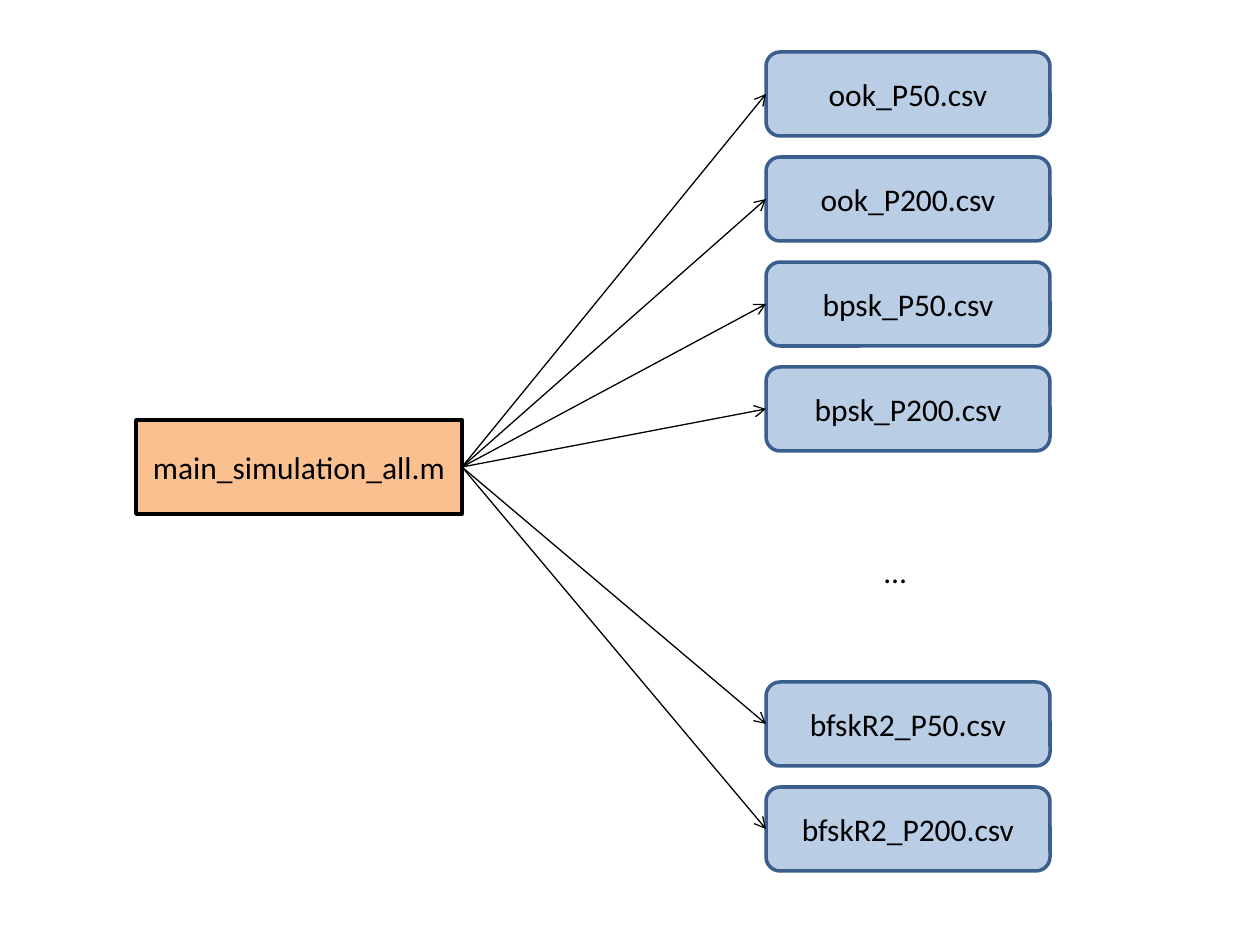
from dataclasses import dataclass

from lxml.etree import SubElement
from pptx import Presentation
from pptx.dml.color import RGBColor
from pptx.enum.shapes import MSO_CONNECTOR as Connector, MSO_SHAPE as Preset
from pptx.enum.text import MSO_ANCHOR as Anchor, MSO_AUTO_SIZE as AutoSize, PP_ALIGN as Align
from pptx.oxml.ns import qn
from pptx.util import Emu, Pt

EMU_PER_PIXEL = 914400 / 126
BLACK = "000000"
RIGHT_SITE, LEFT_SITE = 3, 1


@dataclass(frozen=True)
class Box:
    text: str
    left: int
    top: int
    width: int
    height: int
    preset: Preset
    fill: str
    line: str


@dataclass(frozen=True)
class OutputFile:
    name: str
    row: int


def px(pixels: int) -> Emu:
    return Emu(round(pixels * EMU_PER_PIXEL))


def color(value: str) -> RGBColor:
    return RGBColor.from_string(value)


def add_text(text_frame, text: str, align: Align) -> None:
    paragraph = text_frame.paragraphs[0]
    paragraph.alignment = align
    run = paragraph.add_run()
    run.text = text
    run.font.name = "Calibri"
    run.font.size = Pt(18)
    run.font.color.rgb = color(BLACK)


def add_box(slide, box: Box):
    shape = slide.shapes.add_shape(
        box.preset, px(box.left), px(box.top), px(box.width), px(box.height))
    shape.shadow.inherit = False
    shape.fill.solid()
    shape.fill.fore_color.rgb = color(box.fill)
    shape.line.color.rgb = color(box.line)
    shape.line.width = Pt(2)
    shape.text_frame.word_wrap = True
    shape.text_frame.vertical_anchor = Anchor.MIDDLE
    add_text(shape.text_frame, box.text, Align.CENTER)
    return shape


def add_arrow(slide, source, target) -> None:
    connector = slide.shapes.add_connector(Connector.STRAIGHT, 0, 0, 0, 0)
    connector.begin_connect(source, RIGHT_SITE)
    connector.end_connect(target, LEFT_SITE)
    connector.line.color.rgb = color(BLACK)
    connector.line.width = Pt(0.75)
    SubElement(connector.line._get_or_add_ln(), qn("a:tailEnd"), type="arrow")
    SubElement(connector._element.spPr, qn("a:effectLst"))


OUTPUT_TOP, OUTPUT_PITCH = 52, 105
OUTPUT_FILES = [
    OutputFile("ook_P50.csv", 0),
    OutputFile("ook_P200.csv", 1),
    OutputFile("bpsk_P50.csv", 2),
    OutputFile("bpsk_P200.csv", 3),
    OutputFile("bfskR2_P50.csv", 6),
    OutputFile("bfskR2_P200.csv", 7),
]

presentation = Presentation()
presentation.slide_width, presentation.slide_height = px(1260), px(945)
slide = presentation.slides.add_slide(presentation.slide_layouts[6])

# Simulation script
script_box = add_box(slide, Box("main_simulation_all.m", 136, 420, 326, 94,
                                Preset.RECTANGLE, "FAC090", BLACK))

# Output files
output_boxes = [
    add_box(slide, Box(output.name, 766, OUTPUT_TOP + output.row * OUTPUT_PITCH, 284, 84,
                       Preset.FLOWCHART_ALTERNATE_PROCESS, "B9CDE5", "3A5F8C"))
    for output in OUTPUT_FILES
]

# Ellipsis for the omitted files
ellipsis_box = slide.shapes.add_textbox(px(872), px(546), px(48), px(50))
ellipsis_box.text_frame.word_wrap = False
ellipsis_box.text_frame.auto_size = AutoSize.SHAPE_TO_FIT_TEXT
add_text(ellipsis_box.text_frame, "…", Align.LEFT)

# Arrows from the script to each file
for output_box in output_boxes:
    add_arrow(slide, script_box, output_box)

presentation.save("out.pptx")
